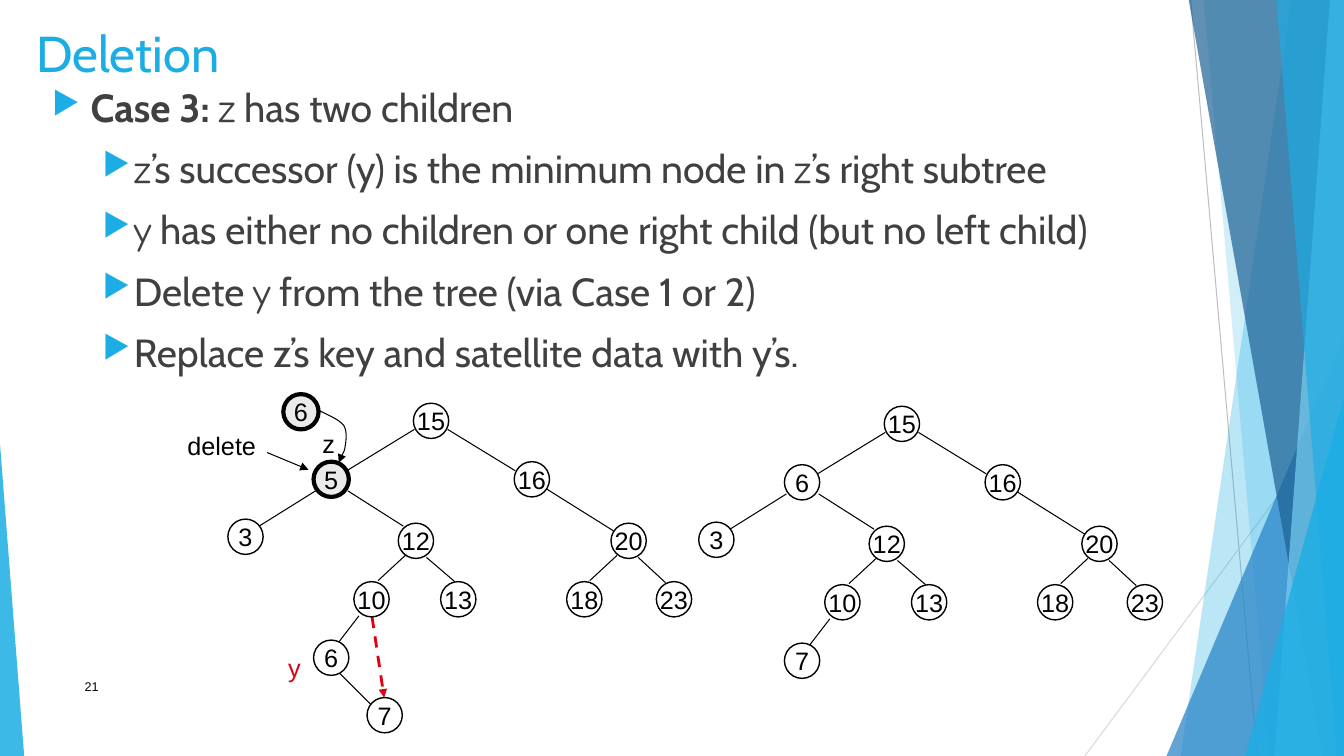
from lxml import etree
from pptx import Presentation
from pptx.dml.color import RGBColor
from pptx.enum.dml import MSO_LINE
from pptx.enum.shapes import MSO_CONNECTOR, MSO_SHAPE
from pptx.enum.text import MSO_ANCHOR, PP_ALIGN
from pptx.oxml.ns import qn
from pptx.util import Inches, Pt

STRAIGHT = MSO_CONNECTOR.STRAIGHT
OVAL, TRIANGLE = MSO_SHAPE.OVAL, MSO_SHAPE.ISOSCELES_TRIANGLE
MIDDLE, TOP = MSO_ANCHOR.MIDDLE, MSO_ANCHOR.TOP
CENTER, JUSTIFY = PP_ALIGN.CENTER, PP_ALIGN.JUSTIFY
DASH = MSO_LINE.DASH
BLACK, WHITE, GRAY, RED, CYAN = "000000", "FFFFFF", "EAEAEA", "DD0111", "1CADE4"
WIDTH, HEIGHT = 13.33, 7.5
NODE = 0.35
SHIFT_X, SHIFT_Y = 4.67, 0.03  # from the tree before to the tree after


def paint(fill, color):
    fill.solid()
    fill.fore_color.rgb = RGBColor.from_string(color)


def write(paragraph, text, size=18, font="Arial", color=BLACK, bold=False):
    run = paragraph.add_run()
    run.text = text
    run.font.size = Pt(size)
    run.font.name = font
    run.font.bold = bold
    paint(run.font.fill, color)


prs = Presentation()
prs.slide_width, prs.slide_height = Inches(WIDTH), Inches(HEIGHT)
slide = prs.slides.add_slide(prs.slide_layouts[6])
shapes = slide.shapes

# Lines: x1, y1, x2, y2, colour, width, dash, arrow
shared_edges = [
    (4.11, 4.26, 3.44, 4.67), (4.44, 4.26, 5.11, 4.67),
    (3.13, 4.87, 2.57, 5.22), (3.45, 4.87, 4.00, 5.22),
    (5.42, 4.85, 6.09, 5.27),
    (4.02, 5.51, 3.75, 5.76), (4.23, 5.53, 4.51, 5.77),
    (6.12, 5.51, 5.85, 5.76), (6.33, 5.53, 6.60, 5.78),
    (3.56, 6.11, 3.36, 6.37),
]
lines = [
    (11.81, 0, 12.47, HEIGHT, "BFBFBF", 0.75, None, False),
    (WIDTH, 4.04, 10.76, HEIGHT, "D9D9D9", 0.75, None, False),
    (3.37, 6.68, 3.68, 6.99, BLACK, 0.75, None, False),
    (2.65, 4.49, 3.06, 4.66, BLACK, 0.75, None, True),
    (3.69, 6.12, 3.81, 6.92, RED, 2, DASH, True),
]
for x1, y1, x2, y2 in shared_edges:
    for dx, dy in ((0, 0), (SHIFT_X, SHIFT_Y)):
        lines.append((x1 + dx, y1 + dy, x2 + dx, y2 + dy, BLACK, 0.75, None, False))

for x1, y1, x2, y2, color, width, dash, arrow in lines:
    edge = shapes.add_connector(STRAIGHT, Inches(x1), Inches(y1), Inches(x2), Inches(y2))
    paint(edge.line.fill, color)
    edge.line.width = Pt(width)
    if dash:
        edge.line.dash_style = dash
    properties = edge.element.spPr
    if arrow:
        etree.SubElement(properties.find(qn("a:ln")), qn("a:tailEnd"), type="triangle")
    etree.SubElement(properties, qn("a:effectLst"))

# Translucent facets: bands (top x, bottom x) reach the right edge,
# triangles give left, top, width and apex
facets = [
    ((12.81, 11.71), CYAN, 30),
    ((11.94, 12.59), CYAN, 20),
    ((11.57, 3.34, 1.76, 1), "2683C6", 72),
    ((11.79, 13.12), "1D6294", 70),
    ((13.19, 12.64), "77CEEF", 70),
    ((12.66, 13.26), CYAN, 65),
    ((12.35, 3.94, 0.98, 1), CYAN, 80),
    ((0, 4.4, 0.24, 0), CYAN, 85),
]
for geometry, color, opacity in facets:
    if len(geometry) == 2:
        top_x, bottom_x = geometry
        outline = shapes.build_freeform(Inches(top_x), 0)
        outline.add_line_segments(
            [(Inches(x), Inches(y)) for x, y in
             ((WIDTH, 0), (WIDTH, HEIGHT), (bottom_x, HEIGHT))])
        facet = outline.convert_to_shape()
    else:
        left, top, width, apex = geometry
        facet = shapes.add_shape(TRIANGLE, Inches(left), Inches(top),
                                 Inches(width), Inches(HEIGHT - top))
        facet.adjustments[0] = apex
    facet.shadow.inherit = False
    facet.line.fill.background()
    paint(facet.fill, color)
    tint = facet.element.spPr.find(qn("a:solidFill")).find(qn("a:srgbClr"))
    etree.SubElement(tint, qn("a:alpha"), val=str(opacity * 1000))

# Title, page number and tree labels
labels = [
    ("Deletion", 0.26, 0.17, 9.4, 1.44, TOP, True, dict(size=36, font="Cabin", color=CYAN)),
    ("21", 0.74, 6.61, 6.89, 0.4, MIDDLE, True, dict(size=9)),
    ("delete", 1.76, 4.22, 0.88, 0.4, TOP, False, {}),
    ("z", 3.1, 4.2, 0.33, 0.4, TOP, False, {}),
    ("y", 2.76, 6.42, 0.33, 0.4, TOP, False, dict(color=RED)),
]
for text, left, top, width, height, anchor, wrap, style in labels:
    frame = shapes.add_textbox(Inches(left), Inches(top), Inches(width), Inches(height)).text_frame
    frame.word_wrap = wrap
    frame.vertical_anchor = anchor
    write(frame.paragraphs[0], text, **style)

# Case 3 explanation: each point is a list of (text, font)
points = [
    [("Case 3: ", "Cabin"), ("z", "Comic Neue"), (" has two children", "Cabin")],
    [("z", "Comic Neue"), ("’s successor (y) is the minimum node in ", "Cabin"),
     ("z", "Comic Neue"), ("’s right subtree", "Cabin")],
    [("y", "Comic Neue"),
     (" has either no children or one right child (but no left child)", "Cabin")],
    [("Delete ", "Cabin"), ("y", "Comic Neue"), (" from the tree (via Case 1 or 2)", "Cabin")],
    [("Replace z’s key and satellite data with y’s.", "Cabin")],
]
frame = shapes.add_textbox(Inches(0.42), Inches(0.78), Inches(11.64), Inches(5.55)).text_frame
frame.word_wrap = True
for index, point in enumerate(points):
    paragraph = frame.add_paragraph() if index else frame.paragraphs[0]
    paragraph.level = min(index, 1)
    paragraph.alignment = JUSTIFY
    indent, hanging = (0.81, 0.31) if index else (0.38, 0.38)
    properties = paragraph._p.get_or_add_pPr()
    properties.set("marL", str(Inches(indent)))
    properties.set("indent", str(-Inches(hanging)))
    bullet_color = etree.SubElement(properties, qn("a:buClr"))
    etree.SubElement(bullet_color, qn("a:srgbClr"), val=CYAN)
    etree.SubElement(properties, qn("a:buSzPct"), val="80000")
    etree.SubElement(properties, qn("a:buChar"), char="▶")
    if index:
        paragraph.space_before = Pt(10)
    for text, font in point:
        write(paragraph, text, size=28, font=font, color="404040", bold=text == "Case 3: ")

# Tree nodes: key, left, top, highlighted
shared_nodes = [
    ("15", 4.10, 4.00), ("16", 5.10, 4.58), ("3", 2.26, 5.15), ("12", 3.95, 5.19),
    ("20", 6.06, 5.19), ("10", 3.51, 5.77), ("13", 4.37, 5.77), ("18", 5.62, 5.77),
    ("23", 6.51, 5.77),
]
nodes = [
    ("6", 2.81, 3.91, True), ("5", 3.11, 4.58, True),
    ("6", 3.11, 6.35, False), ("7", 3.64, 6.92, False),
    ("6", 3.11 + SHIFT_X, 4.58 + SHIFT_Y, False),
    ("7", 3.11 + SHIFT_X, 6.35 + SHIFT_Y, False),
]
for key, left, top in shared_nodes:
    nodes += [(key, left, top, False), (key, left + SHIFT_X, top + SHIFT_Y, False)]

for key, left, top, highlighted in nodes:
    node = shapes.add_shape(OVAL, Inches(left), Inches(top), Inches(NODE), Inches(NODE))
    node.shadow.inherit = False
    paint(node.fill, GRAY if highlighted else WHITE)
    paint(node.line.fill, BLACK)
    node.line.width = Pt(3 if highlighted else 1)
    frame = node.text_frame
    frame.word_wrap = False
    frame.vertical_anchor = MIDDLE
    frame.paragraphs[0].alignment = CENTER
    write(frame.paragraphs[0], key)

# Curved arrow from the replacement key to z, sampled from Bézier segments
start = (3.16, 4.07)
segments = [
    ((3.26, 4.12), (3.36, 4.16), (3.41, 4.22)),
    ((3.45, 4.29), (3.43, 4.39), (3.42, 4.45)),
    ((3.41, 4.51), (3.34, 4.57), (3.36, 4.59)),
]
curve = shapes.build_freeform(Inches(start[0]), Inches(start[1]))
for first, second, end in segments:
    samples = []
    for t in (step / 8 for step in range(1, 9)):
        weights = ((1 - t) ** 3, 3 * t * (1 - t) ** 2, 3 * t ** 2 * (1 - t), t ** 3)
        samples.append([Inches(sum(w * c for w, c in zip(weights, axis)))
                        for axis in zip(start, first, second, end)])
    curve.add_line_segments(samples, close=False)
    start = end
replacement = curve.convert_to_shape()
replacement.shadow.inherit = False
replacement.fill.background()
paint(replacement.line.fill, BLACK)
replacement.line.width = Pt(0.75)
etree.SubElement(replacement.element.spPr.find(qn("a:ln")), qn("a:tailEnd"), type="triangle")

prs.save("out.pptx")
